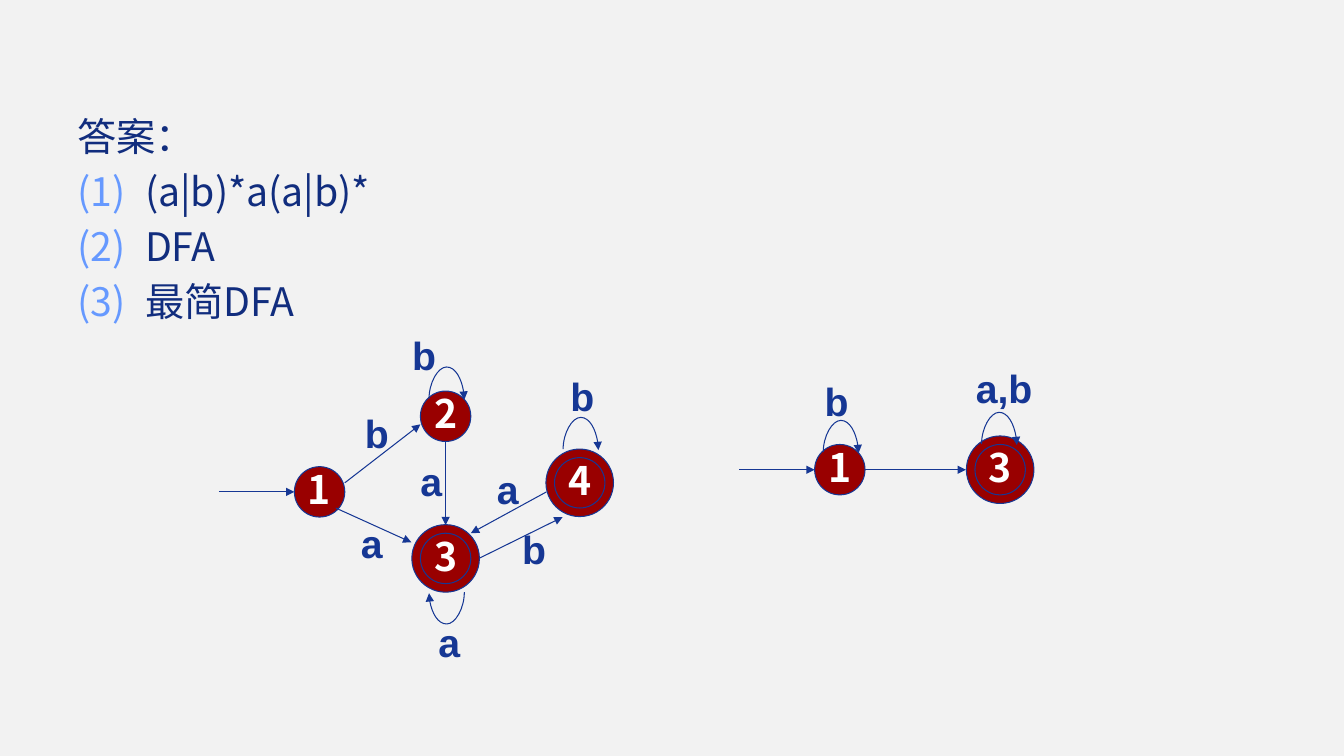
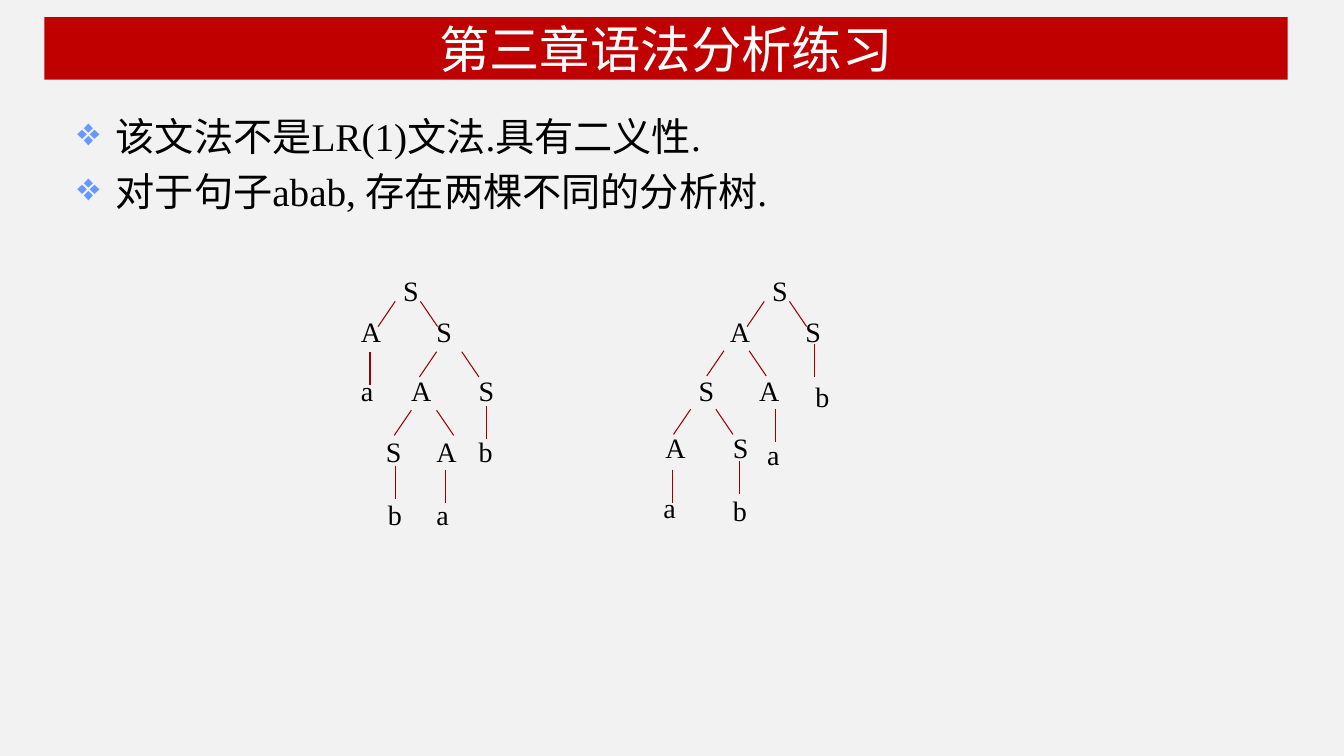
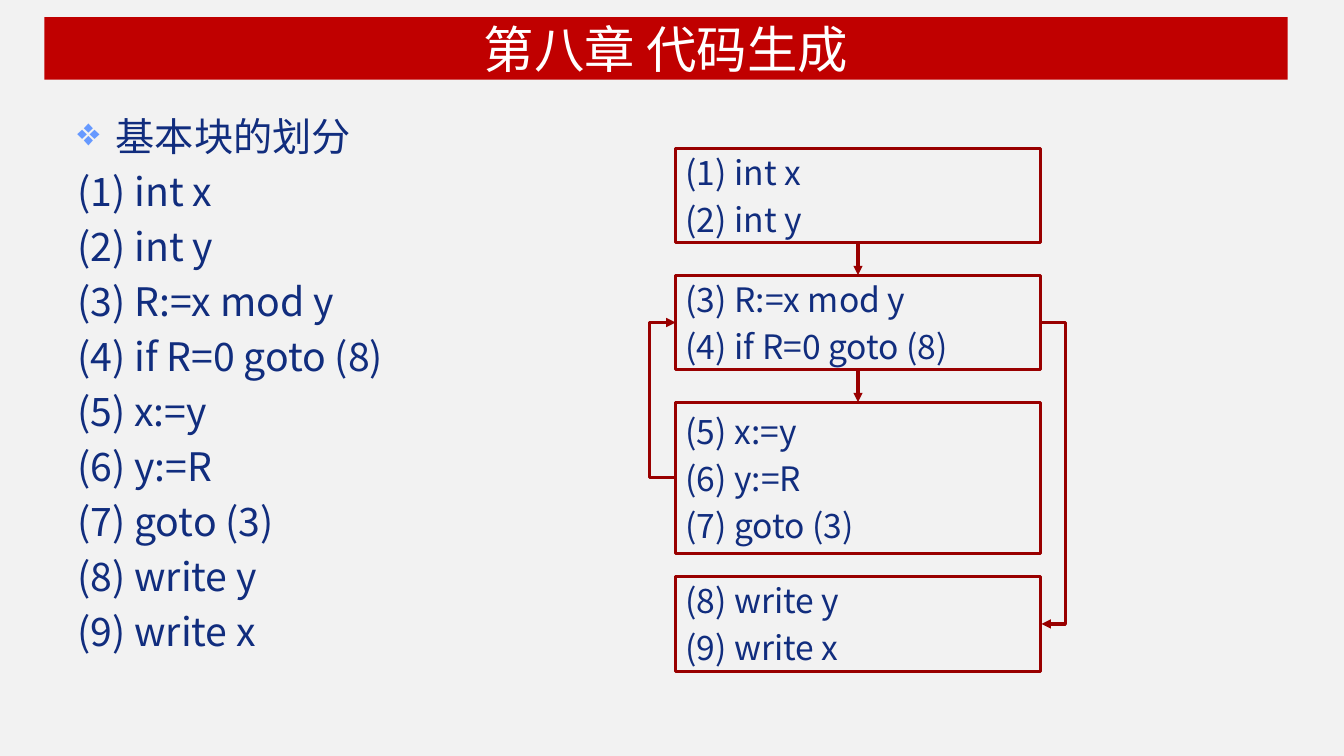
from pptx import Presentation
from pptx.dml.color import RGBColor
from pptx.enum.shapes import MSO_CONNECTOR, MSO_SHAPE
from pptx.enum.text import MSO_ANCHOR, MSO_AUTO_SIZE, PP_ALIGN
from pptx.oxml.ns import qn
from pptx.util import Inches, Pt
from lxml.etree import SubElement

PAPER = RGBColor(0xF2, 0xF2, 0xF2)
BAND = RGBColor(0xC0, 0x00, 0x00)
CRIMSON = RGBColor(0x99, 0x00, 0x00)
NAVY = RGBColor(0x11, 0x2D, 0x7E)
BLUE = RGBColor(0x16, 0x37, 0x94)
SKY = RGBColor(0x66, 0x99, 0xFF)
WHITE = RGBColor(0xFF, 0xFF, 0xFF)
BLACK = RGBColor(0x00, 0x00, 0x00)

CJK = "Noto Sans CJK SC"
SERIF = "Times New Roman"
TITLE_ONLY, BLANK = 5, 6
NUMBER, DIAMOND = "number", "❖"
HANGING = {NUMBER: 0.67, DIAMOND: 0.38}
THIN = 0.01  # width of a connector whose ends are nearly in line


class Deck:
    def __init__(self):
        self.prs = Presentation()
        self.prs.slide_width = Inches(13.33)
        self.prs.slide_height = Inches(7.5)
        background = self.prs.slide_master.background.fill
        background.solid()
        background.fore_color.rgb = PAPER
        self.slide = None

    def new_slide(self, title=None):
        layout = BLANK if title is None else TITLE_ONLY
        self.slide = self.prs.slides.add_slide(self.prs.slide_layouts[layout])
        if title is None:
            return
        heading = self.slide.shapes.title
        heading.left, heading.top = Inches(0.44), Inches(0.17)
        heading.width, heading.height = Inches(12.33), Inches(0.62)
        heading.fill.solid()
        heading.fill.fore_color.rgb = BAND
        frame = heading.text_frame
        frame.auto_size = MSO_AUTO_SIZE.NONE
        frame.vertical_anchor = MSO_ANCHOR.MIDDLE
        frame.paragraphs[0].alignment = PP_ALIGN.CENTER
        self.run(frame.paragraphs[0], title, 36, WHITE)

    def run(self, paragraph, text, size, color, font=CJK, bold=False):
        run = paragraph.add_run()
        run.text = text
        run.font.size = Pt(size)
        run.font.name = font
        run.font.bold = bold
        run.font.color.rgb = color
        east_asian = SubElement(run.font._element, qn("a:ea"))
        east_asian.set("typeface", CJK)

    def bullet(self, paragraph, mark):
        props = paragraph._p.get_or_add_pPr()
        hang = Inches(HANGING[mark])
        props.set("marL", str(hang))
        props.set("indent", str(-hang))
        color = SubElement(SubElement(props, qn("a:buClr")), qn("a:srgbClr"))
        color.set("val", str(SKY))
        if mark == NUMBER:
            SubElement(props, qn("a:buAutoNum")).set("type", "arabicParenBoth")
        else:
            SubElement(props, qn("a:buChar")).set("char", mark)

    def lines(self, frame, rows, size, color, font=CJK):
        """Fill a frame with (mark, text) rows."""
        for index, (mark, text) in enumerate(rows):
            paragraph = frame.add_paragraph() if index else frame.paragraphs[0]
            paragraph.alignment = PP_ALIGN.LEFT
            if index:
                paragraph.space_before = Pt(size * 0.2)
            if mark:
                self.bullet(paragraph, mark)
            self.run(paragraph, text, size, color, font)

    def body(self, rows, color=NAVY, font=CJK):
        area = self.slide.shapes.add_textbox(
            Inches(0.67), Inches(1.07), Inches(12), Inches(5.74))
        area.text_frame.word_wrap = True
        self.lines(area.text_frame, rows, 28, color, font)

    def label(self, text, x, y, width, height, size, color, font,
              bold=False, spacing=None):
        box = self.slide.shapes.add_textbox(
            Inches(x), Inches(y), Inches(width), Inches(height))
        box.text_frame.word_wrap = False
        box.text_frame.auto_size = MSO_AUTO_SIZE.SHAPE_TO_FIT_TEXT
        paragraph = box.text_frame.paragraphs[0]
        if spacing:
            paragraph.line_spacing = spacing
        self.run(paragraph, text, size, color, font, bold)

    def shape(self, kind, x, y, width, height, fill, line, weight):
        shape = self.slide.shapes.add_shape(
            kind, Inches(x), Inches(y), Inches(width), Inches(height))
        shape.shadow.inherit = False
        if fill is None:
            shape.fill.background()
        else:
            shape.fill.solid()
            shape.fill.fore_color.rgb = fill
        shape.line.color.rgb = line
        shape.line.width = Pt(weight)
        return shape

    def connector(self, start, end, color, weight=0.75, arrow=True,
                  kind=MSO_CONNECTOR.STRAIGHT, bulge=None):
        """Join two points; bulge is how far a bent line swings out."""
        link = self.slide.shapes.add_connector(
            kind, *(Inches(value) for value in (*start, *end)))
        link.line.color.rgb = color
        link.line.width = Pt(weight)
        props = link._element.spPr
        if arrow:
            SubElement(link.line._get_or_add_ln(), qn("a:tailEnd")).set(
                "type", "triangle")
        SubElement(props, qn("a:effectLst"))
        if bulge is not None:
            geometry = props.find(qn("a:prstGeom"))
            values = geometry.find(qn("a:avLst"))
            if values is None:
                values = SubElement(geometry, qn("a:avLst"))
            guide = SubElement(values, qn("a:gd"))
            guide.set("name", "adj1")
            guide.set("fmla", f"val {round(bulge / THIN * 100000)}")
        return link

    # Automaton parts
    def state(self, name, x, y, accepting=False):
        """Draw a state around its centre."""
        for size in (0.67, 0.5) if accepting else (0.5,):
            disc = self.shape(MSO_SHAPE.OVAL, x - size / 2, y - size / 2,
                              size, size, CRIMSON, BLUE, 0.75)
        frame = disc.text_frame
        frame.word_wrap = False
        frame.vertical_anchor = MSO_ANCHOR.MIDDLE
        paragraph = frame.paragraphs[0]
        paragraph.alignment = PP_ALIGN.CENTER
        paragraph.line_spacing = 0.9
        self.run(paragraph, name, 28, WHITE, bold=True)

    def self_loop(self, x, y, up=True):
        """Arc centred on x with both ends at y."""
        half = 0.175 if up else -0.175
        arc = self.connector((x - THIN / 2, y + half), (x + THIN / 2, y - half),
                             BLUE, kind=MSO_CONNECTOR.CURVE,
                             bulge=-0.32 if up else 0.32)
        arc._element.spPr.find(qn("a:xfrm")).set("rot", str(90 * 60000))

    def automaton(self, states, moves, loops, symbols):
        for state in states:
            self.state(*state)
        for start, end in moves:
            self.connector(start, end, BLUE)
        for loop in loops:
            self.self_loop(*loop)
        widths = {"a": 0.42, "b": 0.44, "a,b": 0.77}
        for text, x, y in symbols:
            self.label(text, x, y, widths[text], 0.52, 28, BLUE, "Arial",
                       bold=True, spacing=0.9)

    # Parse tree parts
    def tree(self, nodes, branches, stems):
        """Branches are pairs of tops (left and right); stems are vertical."""
        widths = {"S": 0.36, "A": 0.4, "a": 0.32, "b": 0.34}
        for text, x, y in nodes:
            self.label(text, x, y, widths[text], 0.43, 20, BLACK, SERIF)
        for x, y in branches:
            for top, bottom in ((x, x - 0.17), (x + 0.25, x + 0.42)):
                self.connector((top, y), (bottom, y + 0.25), CRIMSON,
                               arrow=False)
        for x, y in stems:
            self.connector((x, y), (x, y + 0.33), CRIMSON, arrow=False)

    # Flow graph part
    def basic_block(self, rows, y, height):
        block = self.shape(MSO_SHAPE.RECTANGLE, 6.7, y, 3.62, height,
                           None, CRIMSON, 2)
        block.text_frame.word_wrap = True
        block.text_frame.vertical_anchor = MSO_ANCHOR.MIDDLE
        self.lines(block.text_frame, [(None, row) for row in rows], 24, NAVY)


def answer_slide(deck):
    deck.new_slide()
    deck.body([(None, "答案："), (NUMBER, "(a|b)*a(a|b)*"),
               (NUMBER, "DFA"), (NUMBER, "最简DFA")])
    # Full DFA
    deck.automaton(
        states=[("1", 3.17, 4.88), ("2", 4.42, 4.13),
                ("3", 4.42, 5.54, True), ("4", 5.75, 4.79, True)],
        moves=[((2.17, 4.88), (2.92, 4.88)), ((3.33, 5.04), (4.08, 5.38)),
               ((3.42, 4.79), (4.17, 4.21)), ((4.42, 4.38), (4.42, 5.21)),
               ((4.75, 5.54), (5.58, 5.13)), ((5.42, 4.88), (4.67, 5.29))],
        loops=[(4.43, 3.96), (5.76, 4.46), (4.43, 5.88, False)],
        symbols=[("a", 3.48, 5.16), ("b", 3.52, 4.06), ("a", 4.07, 4.54),
                 ("b", 3.99, 3.29), ("b", 5.08, 5.21), ("a", 4.83, 4.62),
                 ("b", 5.56, 3.7), ("a", 4.25, 6.14)])
    # Minimal DFA
    deck.automaton(
        states=[("1", 8.33, 4.66), ("3", 9.92, 4.66, True)],
        moves=[((7.33, 4.66), (8.08, 4.66)), ((8.58, 4.66), (9.58, 4.66))],
        loops=[(8.34, 4.49), (9.91, 4.41)],
        symbols=[("b", 8.08, 3.75), ("a,b", 9.58, 3.62)])


def parse_tree_slide(deck):
    deck.new_slide("第三章语法分析练习")
    # Left tree
    deck.tree(
        nodes=[("S", 3.9, 2.66), ("A", 3.48, 3.07), ("S", 4.23, 3.07),
               ("a", 3.48, 3.66), ("A", 3.98, 3.66), ("S", 4.65, 3.66),
               ("S", 3.73, 4.26), ("A", 4.23, 4.26), ("b", 4.65, 4.26),
               ("b", 3.75, 4.89), ("a", 4.23, 4.89)],
        branches=[(3.92, 2.99), (4.33, 3.49), (4.08, 4.07)],
        stems=[(3.67, 3.49), (3.92, 4.62), (4.42, 4.66), (4.83, 4.03)])
    # Right tree
    deck.tree(
        nodes=[("S", 7.56, 2.66), ("A", 7.14, 3.07), ("S", 7.89, 3.07),
               ("S", 6.83, 3.66), ("A", 7.43, 3.66), ("b", 7.99, 3.72),
               ("A", 6.5, 4.22), ("S", 7.17, 4.22), ("a", 7.51, 4.29),
               ("a", 6.48, 4.82), ("b", 7.17, 4.85)],
        branches=[(7.58, 2.99), (7.18, 3.48), (6.85, 4.06)],
        stems=[(6.67, 4.66), (7.33, 4.57), (7.69, 4.06), (8.08, 3.41)])
    deck.body([(DIAMOND, "该文法不是LR(1)文法.具有二义性."),
               (DIAMOND, "对于句子abab, 存在两棵不同的分析树.")], BLACK, SERIF)


def code_slide(deck):
    deck.new_slide("第八章 代码生成")
    code = ["(1) int x", "(2) int y", "(3) R:=x mod y", "(4) if R=0 goto (8)",
            "(5) x:=y", "(6) y:=R", "(7) goto (3)", "(8) write y", "(9) write x"]
    deck.body([(DIAMOND, "基本块的划分")] + [(None, row) for row in code])
    # Basic blocks
    for first, last, y, height in ((0, 2, 1.47, 0.94), (2, 4, 2.73, 0.94),
                                   (4, 7, 3.99, 1.5), (7, 9, 5.72, 0.94)):
        deck.basic_block(code[first:last], y, height)
    # Control flow
    for top in (2.41, 3.67):
        deck.connector((8.51, top), (8.51, top + 0.32), CRIMSON, 2.25)
    for start, end, bulge in (((6.69, 4.74), (6.69 + THIN, 3.2), -0.25),
                              ((10.32, 3.2), (10.32 + THIN, 6.19), 0.25)):
        deck.connector(start, end, CRIMSON, 2.25,
                       kind=MSO_CONNECTOR.ELBOW, bulge=bulge)


def main():
    deck = Deck()
    answer_slide(deck)
    parse_tree_slide(deck)
    code_slide(deck)
    deck.prs.save("out.pptx")


if __name__ == "__main__":
    main()
